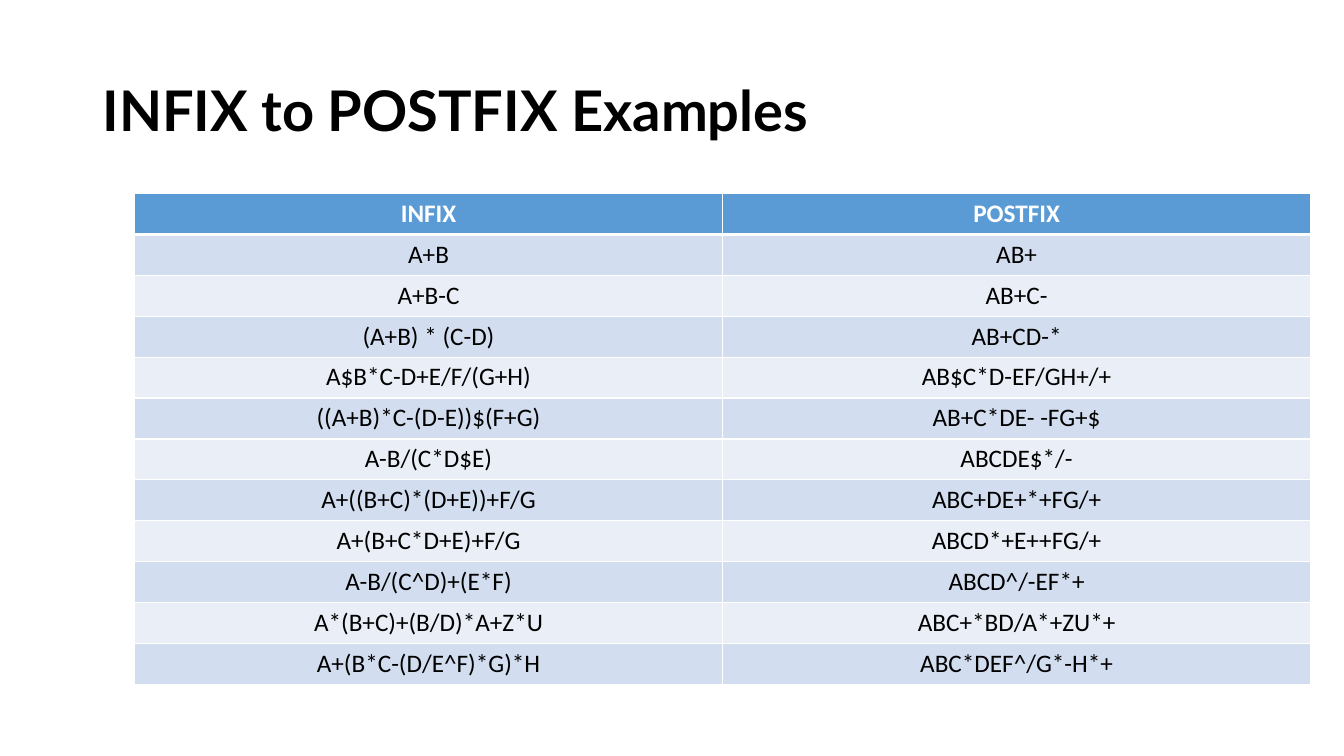
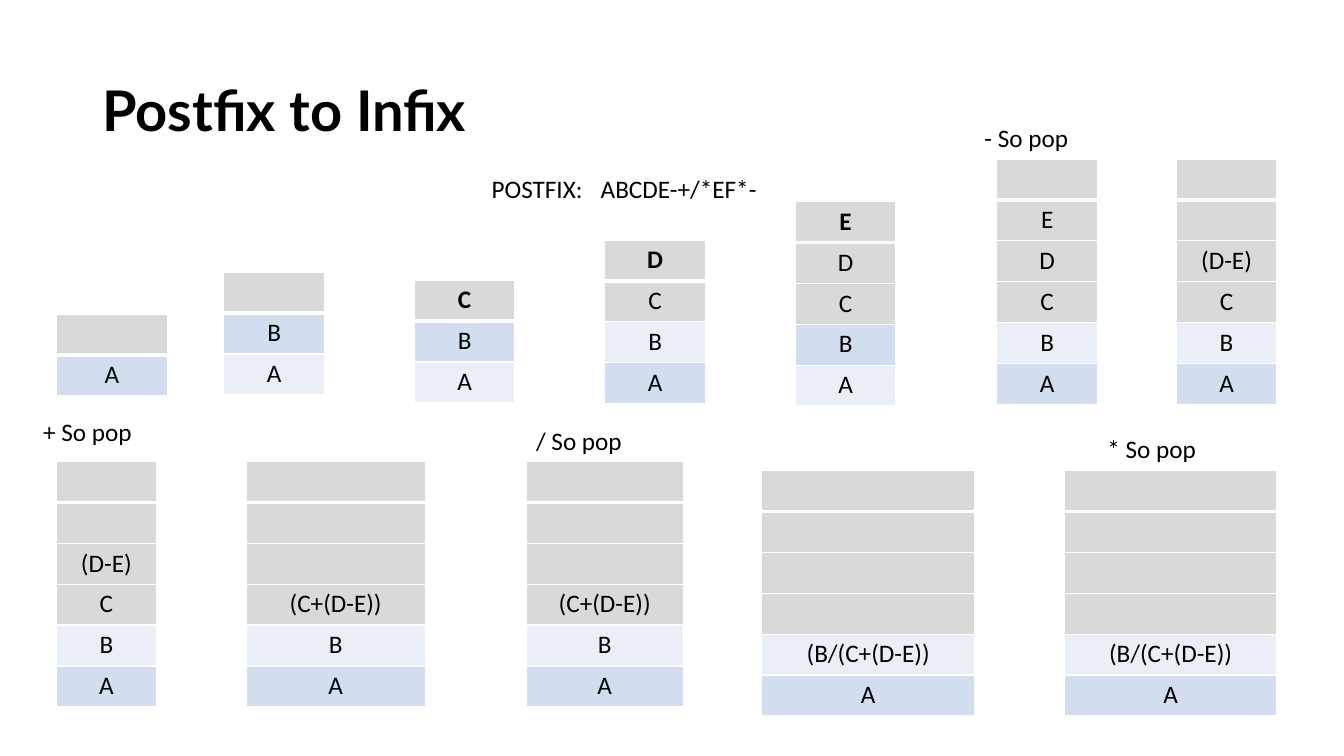
from dataclasses import dataclass

from lxml.etree import SubElement
from pptx import Presentation
from pptx.dml.color import RGBColor
from pptx.enum.text import MSO_ANCHOR, MSO_AUTO_SIZE, PP_ALIGN
from pptx.oxml.ns import qn
from pptx.slide import Slide
from pptx.table import _Cell
from pptx.text.text import _Paragraph
from pptx.util import Cm, Pt

COLOURS = {
    "text": "000000",
    "white": "FFFFFF",
    "header": "5B9BD5",
    "odd": "D2DEEF",
    "even": "EAEFF7",
    "free": "D9D9D9",
}
TITLE_FONT, BODY_FONT = "Lato", "Calibri"
ROW_HEIGHT = 1.03


# Lengths are in centimetres
@dataclass
class Stack:
    left: float
    top: float
    width: float
    cells: list[str]


@dataclass
class Label:
    left: float
    top: float
    width: float
    text: str
    tab: float = 0


EXAMPLES = [
    ["INFIX", "POSTFIX"],
    ["A+B", "AB+"],
    ["A+B-C", "AB+C-"],
    ["(A+B) * (C-D)", "AB+CD-*"],
    ["A$B*C-D+E/F/(G+H)", "AB$C*D-EF/GH+/+"],
    ["((A+B)*C-(D-E))$(F+G)", "AB+C*DE- -FG+$"],
    ["A-B/(C*D$E)", "ABCDE$*/-"],
    ["A+((B+C)*(D+E))+F/G", "ABC+DE+*+FG/+"],
    ["A+(B+C*D+E)+F/G", "ABCD*+E++FG/+"],
    ["A-B/(C^D)+(E*F)", "ABCD^/-EF*+"],
    ["A*(B+C)+(B/D)*A+Z*U", "ABC+*BD/A*+ZU*+"],
    ["A+(B*C-(D/E^F)*G)*H", "ABC*DEF^/G*-H*+"],
]

DIFFERENCE = ["", "", "(D-E)", "C", "B", "A"]
TOTAL = ["", "", "", "(C+(D-E))", "B", "A"]
QUOTIENT = ["", "", "", "", "(B/(C+(D-E))", "A"]

STACKS = [
    Stack(1.41, 7.92, 2.82, ["", "A"]),
    Stack(5.64, 6.86, 2.54, ["", "B", "A"]),
    Stack(10.44, 7.06, 2.54, ["C", "B", "A"]),
    Stack(15.24, 6.05, 2.54, ["D", "C", "B", "A"]),
    Stack(20.04, 5.08, 2.54, ["E", "D", "C", "B", "A"]),
    Stack(25.12, 4.01, 2.54, ["", "E", "D", "C", "B", "A"]),
    Stack(29.64, 4.01, 2.54, DIFFERENCE),
    Stack(1.41, 11.63, 2.54, DIFFERENCE),
    Stack(6.2, 11.63, 4.52, TOTAL),
    Stack(13.26, 11.63, 3.96, TOTAL),
    Stack(19.2, 11.86, 5.36, QUOTIENT),
    Stack(26.82, 11.86, 5.36, QUOTIENT),
]

LABELS = [
    Label(12.14, 4.24, 7.24, "POSTFIX:\tABCDE-+/*EF*-", tab=2.75),
    Label(24.56, 2.97, 2.64, "- So pop"),
    Label(0.84, 10.36, 2.77, "+ So pop"),
    Label(13.26, 10.59, 2.69, "/ So pop"),
    Label(27.66, 10.8, 2.77, "* So pop"),
]


def add_span(para: _Paragraph, text: str, colour: str = "text", size: float = 18,
             font: str = BODY_FONT, bold: bool = False) -> None:
    span = para.add_run()
    span.text = text
    span.font.name = font
    span.font.size = Pt(size)
    span.font.bold = bold
    span.font.color.rgb = RGBColor.from_string(COLOURS[colour])


def add_page(deck: Presentation, heading: str) -> Slide:
    page = deck.slides.add_slide(deck.slide_layouts[5])
    title = page.shapes.title
    title.left, title.top = Cm(2.33), Cm(1.01)
    title.width, title.height = Cm(29.21), Cm(3.68)
    frame = title.text_frame
    frame.auto_size = MSO_AUTO_SIZE.NONE
    frame.vertical_anchor = MSO_ANCHOR.MIDDLE
    para = frame.paragraphs[0]
    para.alignment = PP_ALIGN.LEFT
    para.line_spacing = 0.9
    add_span(para, heading, size=40, font=TITLE_FONT, bold=True)
    return page


def set_borders(cell: _Cell, is_first: bool) -> None:
    properties = cell._tc.get_or_add_tcPr()
    for side in ("L", "R", "T", "B"):
        width = Pt(3 if is_first and side == "B" else 1)
        line = SubElement(properties, qn(f"a:ln{side}"), w=str(width))
        fill = SubElement(line, qn("a:solidFill"))
        SubElement(fill, qn("a:srgbClr"), val=COLOURS["white"])


def add_grid(page: Slide, left: float, top: float, column_width: float,
             rows: list[list[str]], fills: list[str], header_text: str) -> None:
    columns = len(rows[0])
    table = page.shapes.add_table(
        len(rows), columns, Cm(left), Cm(top),
        Cm(column_width * columns), Cm(ROW_HEIGHT * len(rows))).table
    table.first_row = table.horz_banding = False
    for column in table.columns:
        column.width = Cm(column_width)
    for row_index, (texts, fill) in enumerate(zip(rows, fills)):
        is_first = row_index == 0
        table.rows[row_index].height = Cm(ROW_HEIGHT)
        for column_index, text in enumerate(texts):
            cell = table.cell(row_index, column_index)
            cell.margin_left = cell.margin_right = Cm(0.33)
            cell.margin_top = cell.margin_bottom = Cm(0.12)
            set_borders(cell, is_first)
            cell.fill.solid()
            cell.fill.fore_color.rgb = RGBColor.from_string(COLOURS[fill])
            if text:
                para = cell.text_frame.paragraphs[0]
                para.alignment = PP_ALIGN.CENTER
                add_span(para, text, header_text if is_first else "text", bold=is_first)


def band(row_index: int) -> str:
    return "odd" if row_index % 2 else "even"


def add_stack(page: Slide, stack: Stack) -> None:
    # All but the two lowest cells are grey, and the top one always is
    count = len(stack.cells)
    grey = max(count - 2, 1)
    fills = ["free" if index < grey else band(index) for index in range(count)]
    add_grid(page, stack.left, stack.top, stack.width,
             [[text] for text in stack.cells], fills, "text")


def add_label(page: Slide, label: Label) -> None:
    box = page.shapes.add_textbox(Cm(label.left), Cm(label.top), Cm(label.width), Cm(1.02))
    frame = box.text_frame
    frame.word_wrap = False
    frame.auto_size = MSO_AUTO_SIZE.SHAPE_TO_FIT_TEXT
    para = frame.paragraphs[0]
    if label.tab:
        tabs = SubElement(para._p.get_or_add_pPr(), qn("a:tabLst"))
        SubElement(tabs, qn("a:tab"), pos=str(Cm(label.tab)), algn="l")
    add_span(para, label.text)


def main() -> None:
    deck = Presentation()
    deck.slide_width, deck.slide_height = Cm(33.87), Cm(19.05)

    # Table of examples
    page = add_page(deck, "INFIX to POSTFIX Examples")
    fills = ["header"] + [band(index) for index in range(1, len(EXAMPLES))]
    add_grid(page, 3.39, 4.88, 14.82, EXAMPLES, fills, "white")

    # Stack after each step
    page = add_page(deck, "Postfix to Infix")
    for stack in STACKS:
        add_stack(page, stack)
    for label in LABELS:
        add_label(page, label)

    deck.save("out.pptx")


if __name__ == "__main__":
    main()
